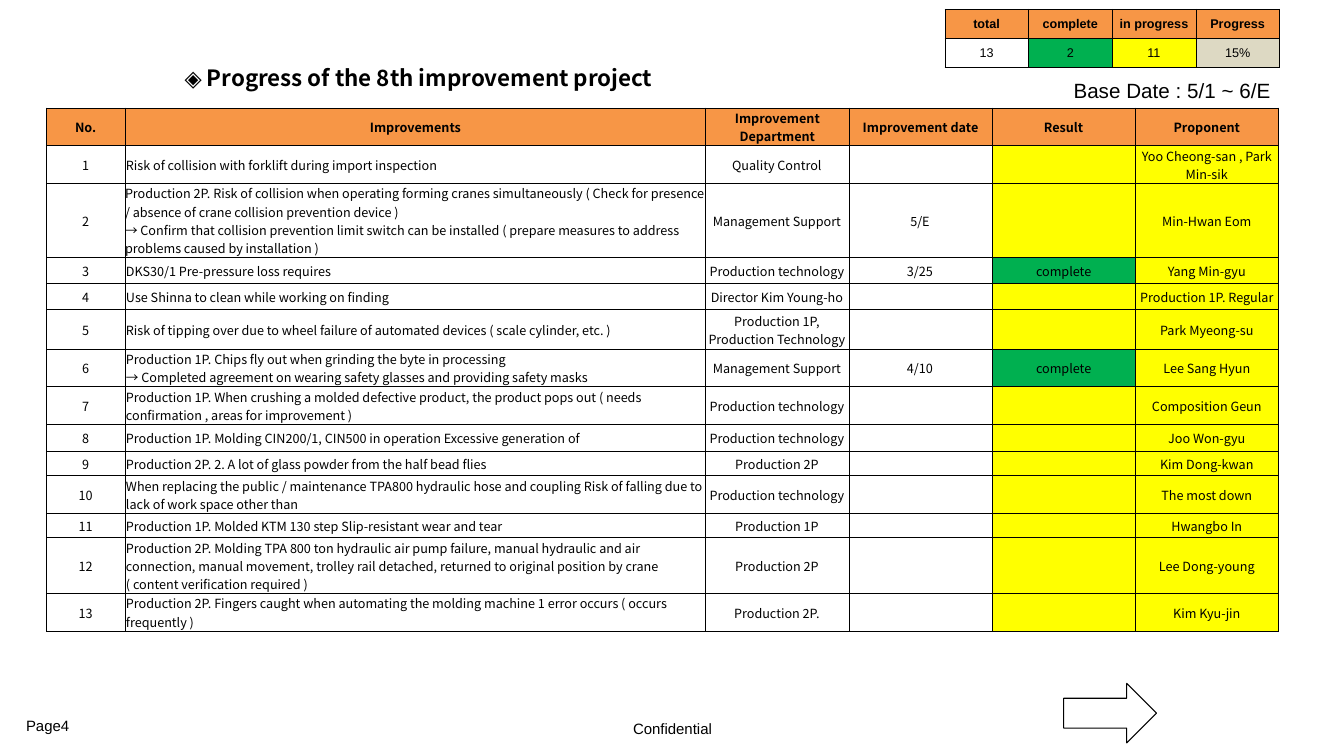
from dataclasses import dataclass
from typing import Optional

from lxml.etree import SubElement
from pptx import Presentation
from pptx.dml.color import RGBColor
from pptx.enum.shapes import MSO_SHAPE
from pptx.enum.text import MSO_ANCHOR, PP_ALIGN
from pptx.oxml.ns import qn
from pptx.slide import Slide
from pptx.table import Table, _Cell
from pptx.text.text import TextFrame
from pptx.util import Inches, Pt

COLORS = {
    "black": "000000",
    "white": "FFFFFF",
    "header": "F79646",
    "open": "FFFF00",
    "complete": "00B050",
    "rate": "DDD9C3",
}
LATIN = "Arial"
KOREAN = "Noto Sans CJK KR"
CELL_SIZE = 9


@dataclass
class TextStyle:
    font: str
    size: float
    bold: bool = False
    align: PP_ALIGN = PP_ALIGN.LEFT


@dataclass
class Label:
    text: str
    box: tuple[float, float, float, float]
    style: TextStyle
    anchor: MSO_ANCHOR = MSO_ANCHOR.MIDDLE
    margins: tuple[float, float, float, float] = (0.1, 0.05, 0.1, 0.05)


@dataclass
class Improvement:
    height: float
    lines: list[str]
    department: str
    proponent: str
    date: str = ""
    result: str = ""


@dataclass
class CellStyle:
    text: TextStyle
    margins: tuple[float, float, float, float]
    border: float
    fill: Optional[str] = None


LABELS = [
    Label("Page4", (0.16, 7, 1.15, 0.4), TextStyle(LATIN, 10.7)),
    Label("Confidential", (4.56, 7.03, 4.22, 0.4), TextStyle(LATIN, 10.7, align=PP_ALIGN.CENTER)),
    Label("Base Date : 5/1 ~ 6/E", (10.24, 0.72, 2.46, 0.35),
          TextStyle(LATIN, 14.7, align=PP_ALIGN.RIGHT), MSO_ANCHOR.TOP),
    Label("◈ Progress of the 8th improvement project", (1.83, 0.53, 7.62, 0.48),
          TextStyle(KOREAN, 16, bold=True), margins=(0, 0, 0, 0)),
]

HEADINGS = ["No.", "Improvements", "Improvement Department", "Improvement date", "Result", "Proponent"]
IMPROVEMENTS = [
    Improvement(0.26, ["Risk of collision with forklift during import inspection"],
                "Quality Control", "Yoo Cheong-san , Park Min-sik"),
    Improvement(0.52, ["Production 2P. Risk of collision when operating forming cranes simultaneously "
                       "( Check for presence / absence of crane collision prevention device )",
                       "→ Confirm that collision prevention limit switch can be installed "
                       "( prepare measures to address problems caused by installation )"],
                "Management Support", "Min-Hwan Eom", "5/E"),
    Improvement(0.26, ["DKS30/1 Pre-pressure loss requires"],
                "Production technology", "Yang Min-gyu", "3/25", "complete"),
    Improvement(0.26, ["Use Shinna to clean while working on finding"],
                "Director Kim Young-ho", "Production 1P. Regular"),
    Improvement(0.39, ["Risk of tipping over due to wheel failure of automated devices ( scale cylinder, etc. )"],
                "Production 1P, Production Technology", "Park Myeong-su"),
    Improvement(0.26, ["Production 1P. Chips fly out when grinding the byte in processing",
                       "→ Completed agreement on wearing safety glasses and providing safety masks"],
                "Management Support", "Lee Sang Hyun", "4/10", "complete"),
    Improvement(0.26, ["Production 1P. When crushing a molded defective product, the product pops out "
                       "( needs confirmation , areas for improvement )"],
                "Production technology", "Composition Geun"),
    Improvement(0.27, ["Production 1P. Molding CIN200/1, CIN500 in operation Excessive generation of"],
                "Production technology", "Joo Won-gyu"),
    Improvement(0.24, ["Production 2P. 2. A lot of glass powder from the half bead flies"],
                "Production 2P", "Kim Dong-kwan"),
    Improvement(0.33, ["When replacing the public / maintenance TPA800 hydraulic hose and coupling "
                       "Risk of falling due to lack of work space other than"],
                "Production technology", "The most down"),
    Improvement(0.24, ["Production 1P. Molded KTM 130 step Slip-resistant wear and tear"],
                "Production 1P", "Hwangbo In"),
    Improvement(0.39, ["Production 2P. Molding TPA 800 ton hydraulic air pump failure, manual hydraulic and air "
                       "connection, manual movement, trolley rail detached, returned to original position "
                       "by crane ( content verification required )"],
                "Production 2P", "Lee Dong-young"),
    Improvement(0.26, ["Production 2P. Fingers caught when automating the molding machine 1 error occurs "
                       "( occurs frequently )"],
                "Production 2P.", "Kim Kyu-jin"),
]
SUMMARY = [("total", "13", None), ("complete", "2", "complete"),
           ("in progress", "11", "open"), ("Progress", "15%", "rate")]


def color(name: str) -> RGBColor:
    return RGBColor.from_string(COLORS[name])


def write_lines(frame: TextFrame, lines: list[str], style: TextStyle) -> None:
    for index, line in enumerate(lines):
        paragraph = frame.add_paragraph() if index else frame.paragraphs[0]
        paragraph.alignment = style.align
        if not line:
            SubElement(paragraph._p, qn("a:endParaRPr"), sz=str(int(style.size * 100)))
            continue
        run = paragraph.add_run()
        run.text = line
        run.font.name = style.font
        run.font.size = Pt(style.size)
        run.font.bold = style.bold
        run.font.color.rgb = color("black")
        properties = run.font._element
        SubElement(properties, qn("a:ea"), typeface=style.font)


def set_margins(target: TextFrame | _Cell, margins: tuple[float, float, float, float]) -> None:
    """Apply left, top, right and bottom margins in inches."""
    left, top, right, bottom = map(Inches, margins)
    target.margin_left, target.margin_top = left, top
    target.margin_right, target.margin_bottom = right, bottom


def add_label(slide: Slide, label: Label) -> None:
    frame = slide.shapes.add_textbox(*map(Inches, label.box)).text_frame
    frame.word_wrap = True
    frame.vertical_anchor = label.anchor
    set_margins(frame, label.margins)
    write_lines(frame, [label.text], label.style)


def fill_cell(cell: _Cell, lines: list[str], style: CellStyle) -> None:
    cell.vertical_anchor = MSO_ANCHOR.MIDDLE
    set_margins(cell, style.margins)
    write_lines(cell.text_frame, lines, style.text)
    properties = cell._tc.get_or_add_tcPr()
    for side in ("lnL", "lnR", "lnT", "lnB"):
        line = SubElement(properties, qn(f"a:{side}"), w=str(Pt(style.border)))
        SubElement(SubElement(line, qn("a:solidFill")), qn("a:srgbClr"), val=COLORS["black"])
    if style.fill:
        cell.fill.solid()
        cell.fill.fore_color.rgb = color(style.fill)
    else:
        cell.fill.background()


def add_grid(slide: Slide, left: float, top: float, widths: list[float], heights: list[float]) -> Table:
    table = slide.shapes.add_table(len(heights), len(widths), Inches(left), Inches(top),
                                   Inches(sum(widths)), Inches(sum(heights))).table
    table.first_row = table.horz_banding = False
    for column, width in zip(table.columns, widths):
        column.width = Inches(width)
    for row, height in zip(table.rows, heights):
        row.height = Inches(height)
    return table


def add_improvements(slide: Slide) -> None:
    table = add_grid(slide, 0.46, 1.07, [0.78, 5.76] + [1.42] * 4,
                     [0.29] + [item.height for item in IMPROVEMENTS])
    margins = (0.01, 0.01, 0.01, 0)
    heading = TextStyle(KOREAN, CELL_SIZE, True, PP_ALIGN.CENTER)
    for column, title in enumerate(HEADINGS):
        fill_cell(table.cell(0, column), [title], CellStyle(heading, margins, 0.5, "header"))
    for number, item in enumerate(IMPROVEMENTS, 1):
        values = [[str(number)], item.lines, [item.department], [item.date], [item.result], [item.proponent]]
        fills = [None] * 4 + [item.result or "open", "open"]
        for column, (lines, fill) in enumerate(zip(values, fills)):
            align = PP_ALIGN.LEFT if column == 1 else PP_ALIGN.CENTER
            inset = (0, 0.01, 0.01, 0) if column in (2, 3) else margins
            if column == 1 and number == 2:
                inset = (0, 0.01, 0, 0)
            style = TextStyle(KOREAN, CELL_SIZE, align=align)
            fill_cell(table.cell(number, column), lines, CellStyle(style, inset, 0.5, fill))


def add_summary(slide: Slide) -> None:
    table = add_grid(slide, 9.37, 0.09, [0.83] * len(SUMMARY), [0.28] * 2)
    for column, (title, value, fill) in enumerate(SUMMARY):
        for row, (text, cell_fill) in enumerate([(title, "header"), (value, fill)]):
            style = TextStyle(LATIN, CELL_SIZE, row == 0, PP_ALIGN.CENTER)
            fill_cell(table.cell(row, column), [text], CellStyle(style, (0, 0.07, 0, 0.07), 0.25, cell_fill))


def add_next_arrow(slide: Slide) -> None:
    arrow = slide.shapes.add_shape(MSO_SHAPE.RIGHT_ARROW, *map(Inches, (10.55, 6.78, 0.92, 0.59)))
    arrow.shadow.inherit = False
    arrow.fill.solid()
    arrow.fill.fore_color.rgb = color("white")
    arrow.line.color.rgb = color("black")
    arrow.line.width = Pt(0.75)


def main() -> None:
    presentation = Presentation()
    presentation.slide_width, presentation.slide_height = Inches(13.33), Inches(7.5)
    slide = presentation.slides.add_slide(presentation.slide_layouts[6])
    add_improvements(slide)
    for label in LABELS:
        add_label(slide, label)
    add_summary(slide)
    add_next_arrow(slide)
    presentation.save("out.pptx")


if __name__ == "__main__":
    main()
